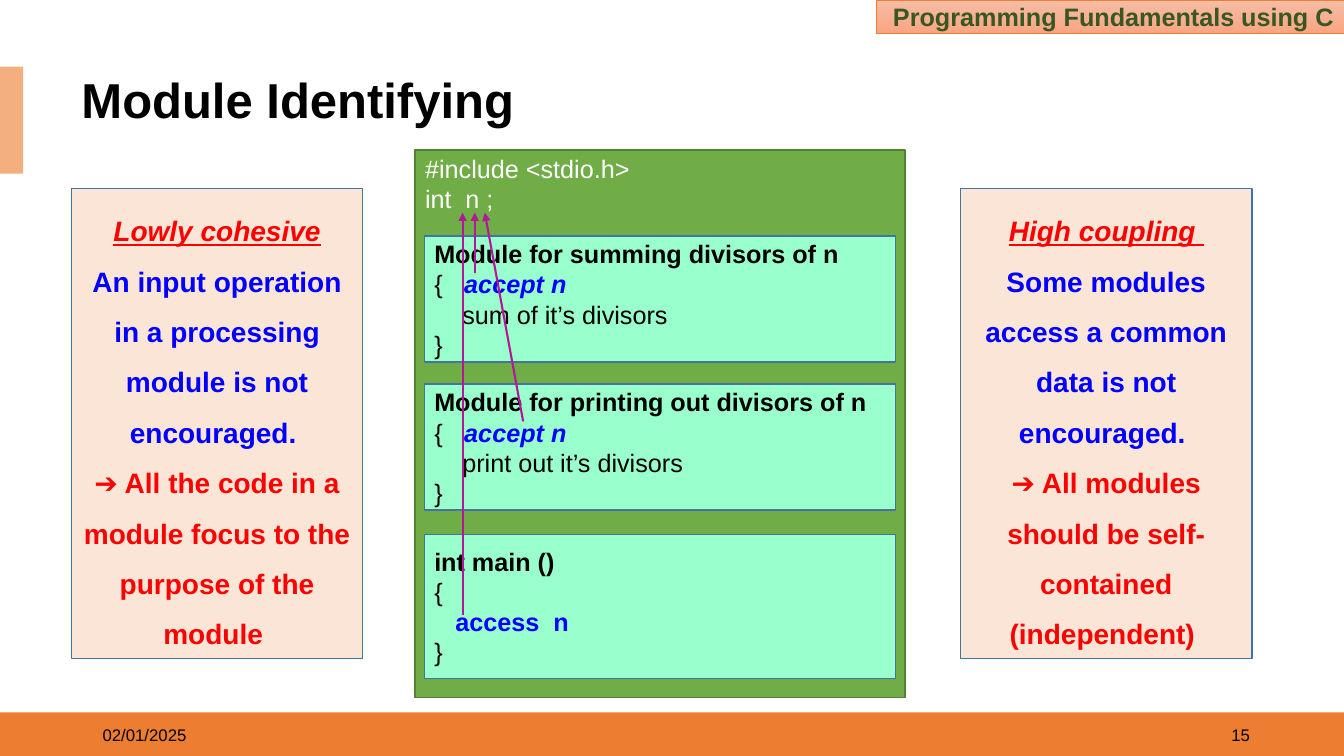
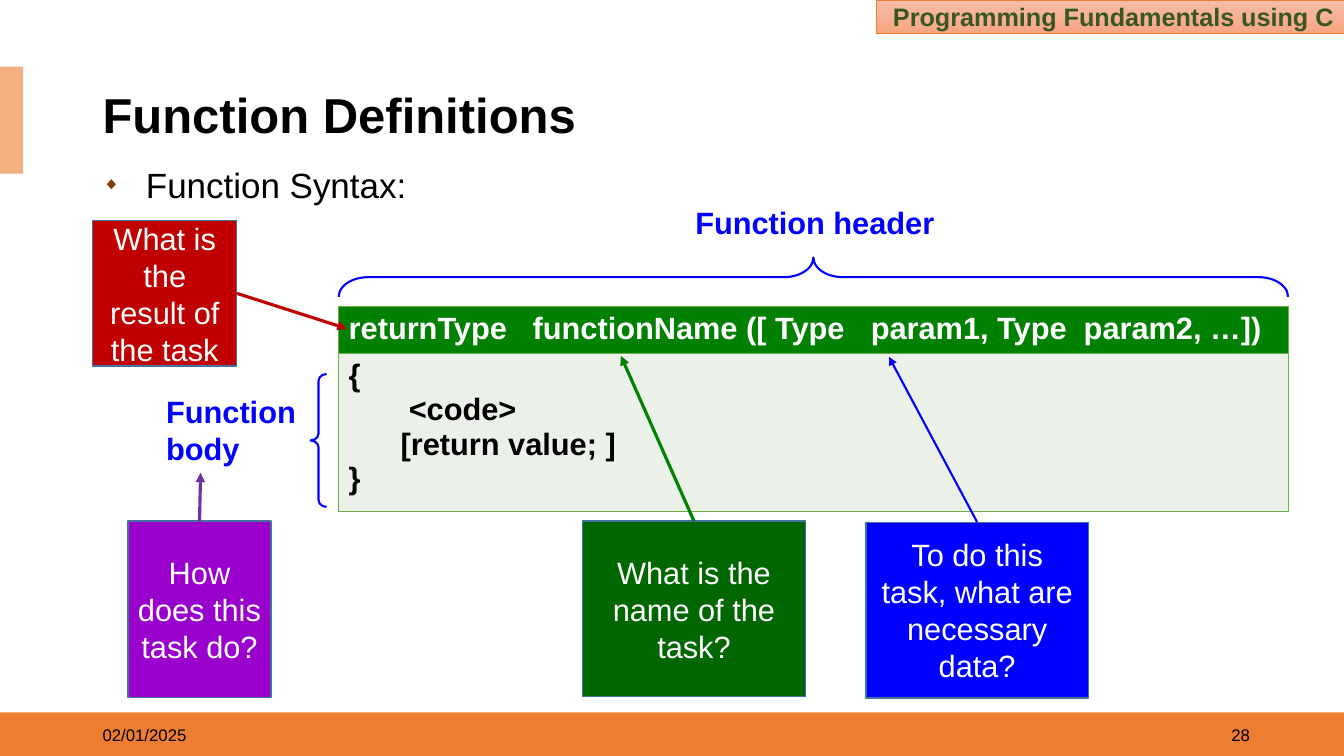
from lxml.etree import SubElement
from pptx import Presentation
from pptx.dml.color import RGBColor
from pptx.enum.shapes import MSO_CONNECTOR, MSO_SHAPE
from pptx.enum.text import MSO_ANCHOR, PP_ALIGN
from pptx.oxml.ns import qn
from pptx.util import Pt

WIDTH, HEIGHT = 960, 540
BLACK, WHITE, BLUE, RED = "000000", "FFFFFF", "0000FF", "FF0000"
ORANGE, EDGE, MINT, PURPLE = "ED7D31", "43739E", "99FFCC", "B31996"
BOLD = {"bold": True}
PLAIN = {"bold": False}
KEYWORD = {"bold": True, "italic": True, "color": BLUE}
HEADING = {"bold": True, "italic": True, "underline": True, "color": RED}
CENTER = {"alignment": PP_ALIGN.CENTER}


def rgb(value):
    return RGBColor.from_string(value)


def points(values):
    return [Pt(v) for v in values]


def write(tf, paragraphs, size, color=BLACK, bold=False, layout=None, anchor=MSO_ANCHOR.MIDDLE):
    tf.word_wrap = True
    tf.vertical_anchor = anchor
    for i, (tabs, runs) in enumerate(paragraphs):
        p = tf.paragraphs[0] if i == 0 else tf.add_paragraph()
        for name, value in {"alignment": PP_ALIGN.LEFT, **(layout or {})}.items():
            setattr(p, name, value)
        if tabs:
            tab_list = SubElement(p._p.get_or_add_pPr(), qn("a:tabLst"))
            for stop in tabs:
                SubElement(tab_list, qn("a:tab"), pos=str(int(Pt(stop))), algn="l")
        for text, extra in runs:
            r = p.add_run()
            r.text = text
            fmt = {"name": "Arial", "size": Pt(size), "bold": bold, "color": color, **extra}
            r.font.color.rgb = rgb(fmt.pop("color"))
            for name, value in fmt.items():
                setattr(r.font, name, value)


def line(text, tabs=(), **extra):
    return tabs, [(text, extra)]


def add_box(s, box, fill=None, edge=None, weight=1, kind=MSO_SHAPE.RECTANGLE):
    sp = s.shapes.add_shape(kind, *points(box))
    sp.shadow.inherit = False
    if fill:
        sp.fill.solid()
        sp.fill.fore_color.rgb = rgb(fill)
    else:
        sp.fill.background()
    if edge:
        sp.line.color.rgb = rgb(edge)
        sp.line.width = Pt(weight)
    else:
        sp.line.fill.background()
    return sp


def add_text(s, box, text, size, **style):
    tb = s.shapes.add_textbox(*points(box))
    write(tb.text_frame, [line(text)], size, **style)
    return tb


def add_arrow(s, start, end, color, weight):
    c = s.shapes.add_connector(MSO_CONNECTOR.STRAIGHT, *points(start + end))
    c.line.color.rgb = rgb(color)
    c.line.width = Pt(weight)
    SubElement(c.line._get_or_add_ln(), qn("a:tailEnd"), type="triangle")
    SubElement(c._element.spPr, qn("a:effectLst"))


def add_brace(s, box, rotation, curl):
    x, y, w, h = box
    if rotation == 270:
        x, y, w, h = x + (w - h) / 2, y + (h - w) / 2, h, w
    sp = add_box(s, (x, y, w, h), edge=BLUE, weight=1.5, kind=MSO_SHAPE.RIGHT_BRACE)
    sp.adjustments[0] = curl
    sp.rotation = rotation


def base_slide(prs, title, corner, number):
    s = prs.slides.add_slide(prs.slide_layouts[6])
    s.background.fill.solid()
    s.background.fill.fore_color.rgb = rgb(WHITE)
    add_box(s, (0, 508.8, WIDTH, 31.2), ORANGE)
    add_box(s, (0, 47.5, 16.6, 76.5), "F4AF80")
    banner = add_box(s, (625.7, 0, 334.3, 24), ORANGE, ORANGE, 0.5)
    banner.fill.gradient()
    banner.fill.gradient_angle = 270
    for stop, color in zip(banner.fill.gradient_stops, ("F7BDA5", "F8A582")):
        stop.color.rgb = rgb(color)
    write(banner.text_frame, [line("Programming Fundamentals using C")], 18, "385723", True,
          {"alignment": PP_ALIGN.RIGHT})
    heading = add_box(s, (*corner, 828, 45.4), WHITE)
    write(heading.text_frame, [line(title)], 35, bold=True, layout={"line_spacing": 0.9})
    add_text(s, (684, 510.5, 216, 28.8), number, 12, layout={"alignment": PP_ALIGN.RIGHT})
    add_text(s, (66.2, 510.5, 216, 28.8), "02/01/2025", 12)
    return s


def side_note(s, box, heading, problem, advice):
    sp = add_box(s, box, "FBE5D6", EDGE)
    write(sp.text_frame, [line(heading, **HEADING), line(problem, color=BLUE), line(advice)],
          20, RED, True, {**CENTER, "line_spacing": 1.5})


def accept_module(purpose, action):
    return [
        line(purpose, **BOLD),
        ((21.4,), [("{\t", PLAIN), ("accept n", KEYWORD)]),
        line("\t" + action, (20,)),
        line("}"),
    ]


def code_panel(s, box):
    x, y, w, h = box
    panel = add_box(s, box, "70AD47", "538035")
    panel.text_frame.margin_top = Pt(2)
    write(panel.text_frame, [line("#include <stdio.h>"), line("int\tn ;", (28.7,))],
          18, WHITE, anchor=MSO_ANCHOR.TOP)
    main = [line("int main ()", **BOLD), line("{"),
            line("\taccess\tn", (15, 85), bold=True, color=BLUE), line("}")]
    modules = [
        (61.2, 90, accept_module("Module for summing divisors of n", "sum of it’s divisors")),
        (167, 90, accept_module("Module for printing out divisors of n", "print out it’s divisors")),
        (274.3, 103, main),
    ]
    for top, height, code in modules:
        sp = add_box(s, (x + 6.5, y + top, w - 13.5, height), MINT, EDGE)
        write(sp.text_frame, code, 18)
    for x1, y1, x2 in [(42.5, 87.8, 42.5), (77.1, 193.7, 49.7), (33.9, 331.9, 33.9)]:
        add_arrow(s, (x + x1, y + y1), (x + x2, y + 44.6), PURPLE, 1.5)


def module_slide(prs):
    s = base_slide(prs, "Module Identifying", (51.1, 50.4), "15")
    code_panel(s, (296.6, 107.3, 349.9, 391))
    side_note(s, (51.1, 134.6, 208, 336), "Lowly cohesive",
              "An input operation in a processing module is not encouraged. ",
              "➔ All the code in a module focus to the purpose of the module ")
    side_note(s, (686.2, 134.6, 208, 336), "High coupling ",
              "Some modules access a common data is not encouraged. ",
              "➔ All modules should be self-contained (independent) ")


def bullet(s, box, text):
    tb = add_text(s, box, text, 25, anchor=MSO_ANCHOR.TOP,
                  layout={"alignment": PP_ALIGN.JUSTIFY, "line_spacing": 1.3, "space_before": Pt(10)})
    pPr = tb.text_frame.paragraphs[0]._p.get_or_add_pPr()
    indent = int(Pt(31))
    pPr.set("marL", str(indent))
    pPr.set("indent", str(-indent))
    SubElement(SubElement(pPr, qn("a:buClr")), qn("a:srgbClr"), val="843C0B")
    SubElement(pPr, qn("a:buSzPct"), val="50000")
    SubElement(pPr, qn("a:buFont"), typeface="Arial")
    SubElement(pPr, qn("a:buChar"), char="◆")


def border(cell, color):
    tcPr = cell._tc.get_or_add_tcPr()
    for i, side in enumerate(("lnL", "lnR", "lnT", "lnB")):
        ln = tcPr.makeelement(qn("a:" + side), w=str(int(Pt(1))))
        SubElement(SubElement(ln, qn("a:solidFill")), qn("a:srgbClr"), val=color)
        tcPr.insert(i, ln)


def syntax_table(s, box):
    x, y, w, h = box
    header = [line("returnType\tfunctionName ([ Type\tparam1, Type\tparam2, …])", (131.4, 372.9, 525))]
    body = [line("{"), line("\t<code>", (42.9,)), line("\t[return value; ]", (37.1,)), line("}")]
    table = s.shapes.add_table(2, 1, *points(box)).table
    rows = [(32, header, WHITE, "008000"), (h - 32, body, BLACK, "EBF1E9")]
    for i, (height, text, color, fill) in enumerate(rows):
        table.rows[i].height = Pt(height)
        cell = table.cell(i, 0)
        cell.fill.solid()
        cell.fill.fore_color.rgb = rgb(fill)
        border(cell, "70AD47")
        write(cell.text_frame, text, 22, color, True)
        cell.vertical_anchor = MSO_ANCHOR.TOP
    label = {"color": BLUE, "bold": True, "anchor": MSO_ANCHOR.TOP}
    add_brace(s, (x - 20.1, y + 48.2, 11.5, 95), 180, 0.427)
    add_text(s, (x - 130.3, y + 58.3, 115.9, 60.5), "Function body", 22, **label)
    add_brace(s, (x, y - 35, w, 28.1), 270, 0.751)
    add_text(s, (x + 247.7, y - 77.1, 239.8, 33.8), "Function header", 22, **label)


def question(s, box, text, fill, target, color, weight, from_right=False):
    x, y, w, h = box
    sp = add_box(s, box, fill, EDGE)
    write(sp.text_frame, [line(text)], 22, WHITE, layout=CENTER)
    start = (x + w, y + h / 2) if from_right else (x + w / 2, y)
    add_arrow(s, start, target, color, weight)


def function_slide(prs):
    s = base_slide(prs, "Function Definitions", (66.2, 61.2), "28")
    bullet(s, (66.2, 104.4, 828, 394), "Function Syntax:")
    syntax_table(s, (241.9, 218.9, 678.2, 138))
    question(s, (66.2, 157.7, 103, 103.7), "What is the result of the task",
             "C00000", (247.7, 234.7), "C00000", 2.25, True)
    question(s, (416.2, 372.2, 159, 125.5), "What is the name of the task?",
             "006600", (443.5, 254.2), "008000", 2.25)
    question(s, (618.5, 373, 159, 125.5), "To do this task, what are necessary data?",
             BLUE, (635, 254.9), BLUE, 1.5)
    question(s, (91.4, 372.2, 102.2, 126), "How does this task do? ",
             "9900CC", (143.3, 337.7), "7030A0", 2.25)


def main():
    prs = Presentation()
    prs.slide_width, prs.slide_height = points((WIDTH, HEIGHT))
    module_slide(prs)
    function_slide(prs)
    prs.save("out.pptx")


if __name__ == "__main__":
    main()
